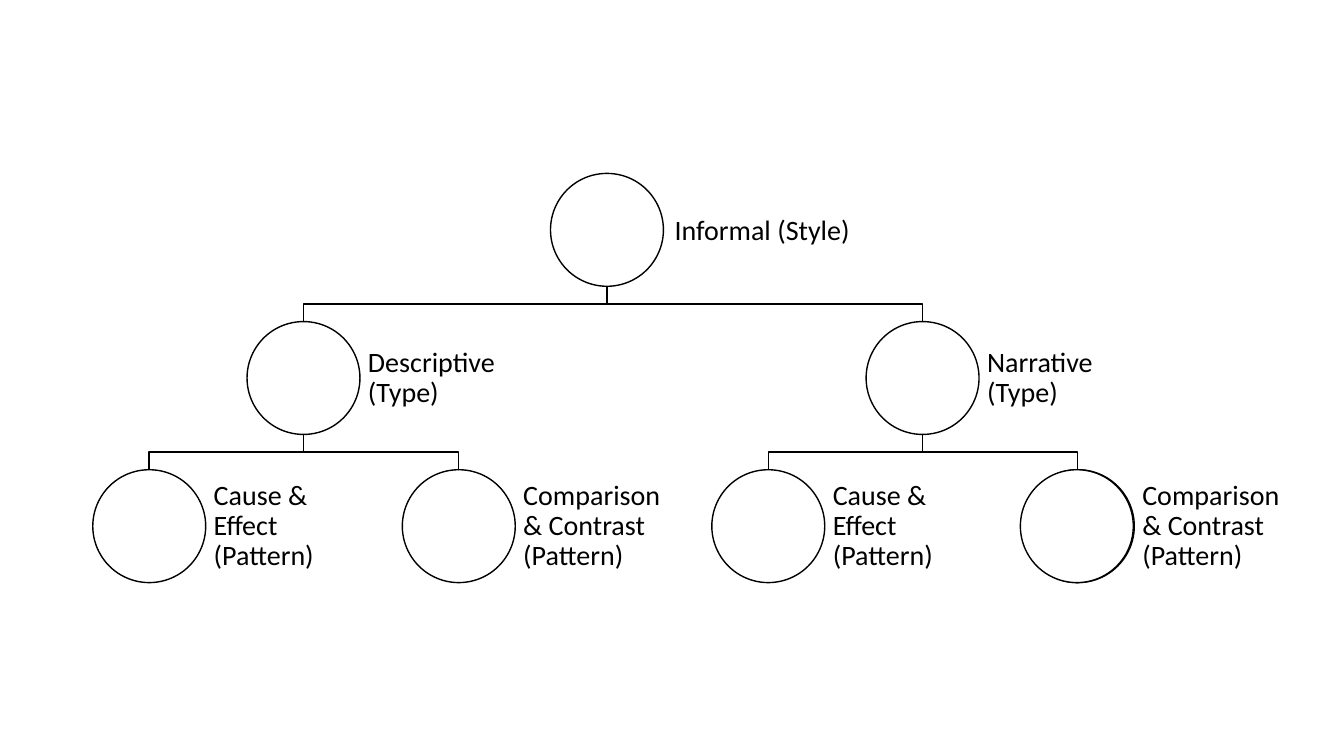
from pptx import Presentation
from pptx.dml.color import RGBColor
from pptx.enum.shapes import MSO_SHAPE
from pptx.enum.text import MSO_ANCHOR
from pptx.util import Inches, Pt

BLACK = RGBColor(0, 0, 0)
WHITE = RGBColor(255, 255, 255)
DIAMETER = 1.12
LEVEL_TOPS = [1.72, 3.19, 4.66]
LEAF_LEFT, LEAF_STEP = 0.92, 3.07
PATTERNS = ["Cause & Effect (Pattern)", "Comparison & Contrast (Pattern)"]
STYLE = ("Informal (Style)", 5.46)
TYPES = [("Descriptive (Type)", 2.45), ("Narrative (Type)", 8.59)]

prs = Presentation()
prs.slide_width, prs.slide_height = Inches(13.33), Inches(7.5)
s = prs.slides.add_slide(prs.slide_layouts[6])


def outline(sp):
    sp.shadow.inherit = False
    sp.line.color.rgb = BLACK
    sp.line.width = Pt(1)


def add_branch(parent_left, child_left, level):
    x1, x2 = parent_left + DIAMETER / 2, child_left + DIAMETER / 2
    y1, y2 = LEVEL_TOPS[level - 1] + DIAMETER, LEVEL_TOPS[level]
    middle = (y1 + y2) / 2
    points = [(x1, middle), (x2, middle), (x2, y2)]
    builder = s.shapes.build_freeform(Inches(x1), Inches(y1))
    builder.add_line_segments([(Inches(x), Inches(y)) for x, y in points], close=False)
    sp = builder.convert_to_shape()
    sp.fill.background()
    outline(sp)


def add_circle(left, top):
    sp = s.shapes.add_shape(MSO_SHAPE.OVAL, Inches(left), Inches(top),
                            Inches(DIAMETER), Inches(DIAMETER))
    sp.fill.solid()
    sp.fill.fore_color.rgb = WHITE
    outline(sp)


def add_label(text, left, top, width=1.67, size=20, color=BLACK):
    box = s.shapes.add_textbox(Inches(left), Inches(top), Inches(width), Inches(DIAMETER))
    tf = box.text_frame
    tf.word_wrap = True
    tf.vertical_anchor = MSO_ANCHOR.MIDDLE
    tf.margin_left = tf.margin_right = tf.margin_top = tf.margin_bottom = Inches(0.08)
    p = tf.paragraphs[0]
    p.line_spacing = 0.9
    r = p.add_run()
    r.text = text
    r.font.name = "Calibri"
    r.font.size = Pt(size)
    r.font.color.rgb = color


leaves = [(PATTERNS[i % 2], LEAF_LEFT + i * LEAF_STEP) for i in range(4)]
for i, (_, left) in enumerate(leaves):
    add_branch(TYPES[i // 2][1], left, 2)
for _, left in TYPES:
    add_branch(STYLE[1], left, 1)

for level, nodes in enumerate([[STYLE], TYPES, leaves]):
    top = LEVEL_TOPS[level]
    for text, left in nodes:
        add_circle(left, top)
        if level == 0:
            add_label(text, left + DIAMETER + 0.03, top + 0.02, width=1.92)
        else:
            add_label(text, left + DIAMETER, top)

add_circle(leaves[-1][1] - 0.01, LEVEL_TOPS[2])

prs.save("out.pptx")
